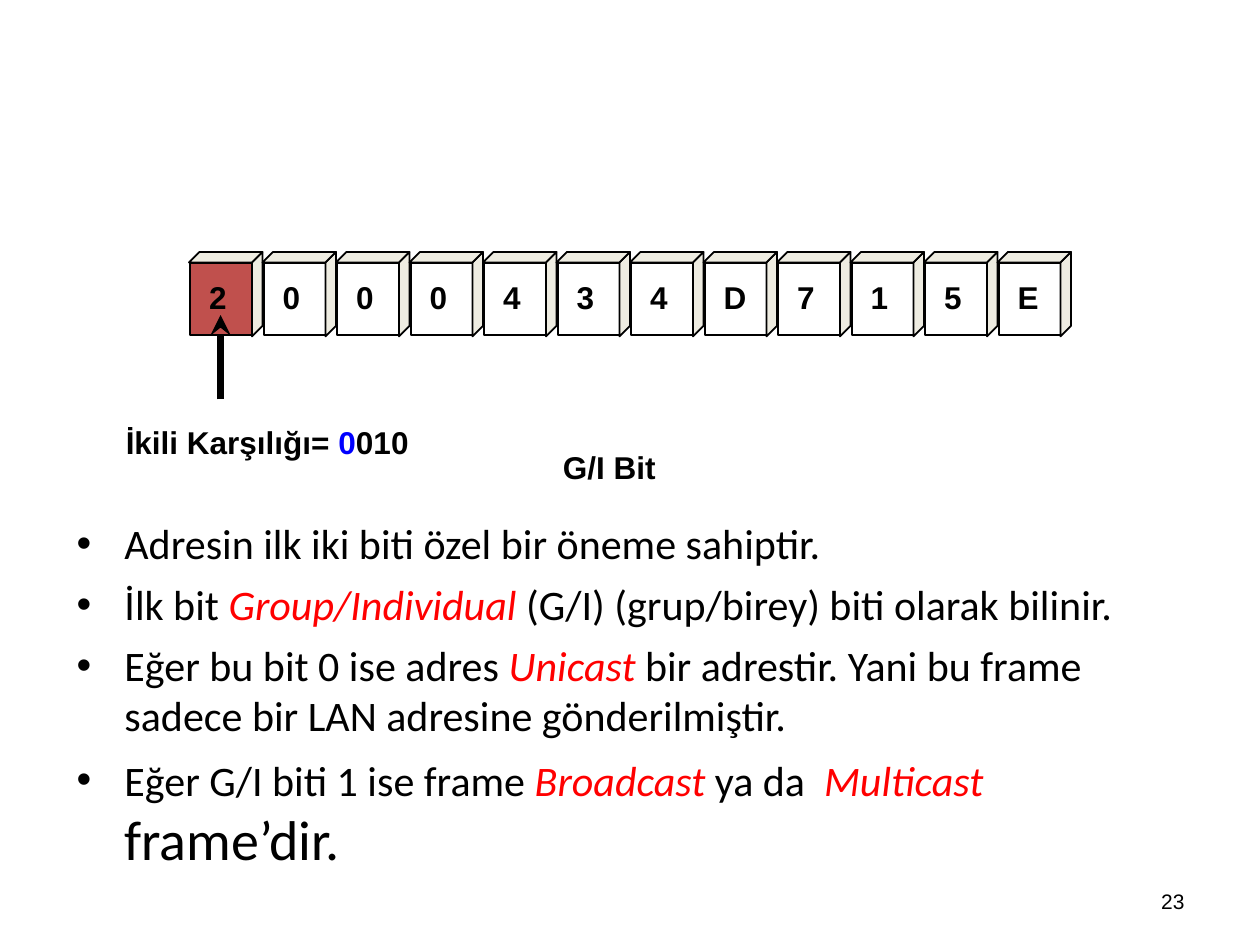
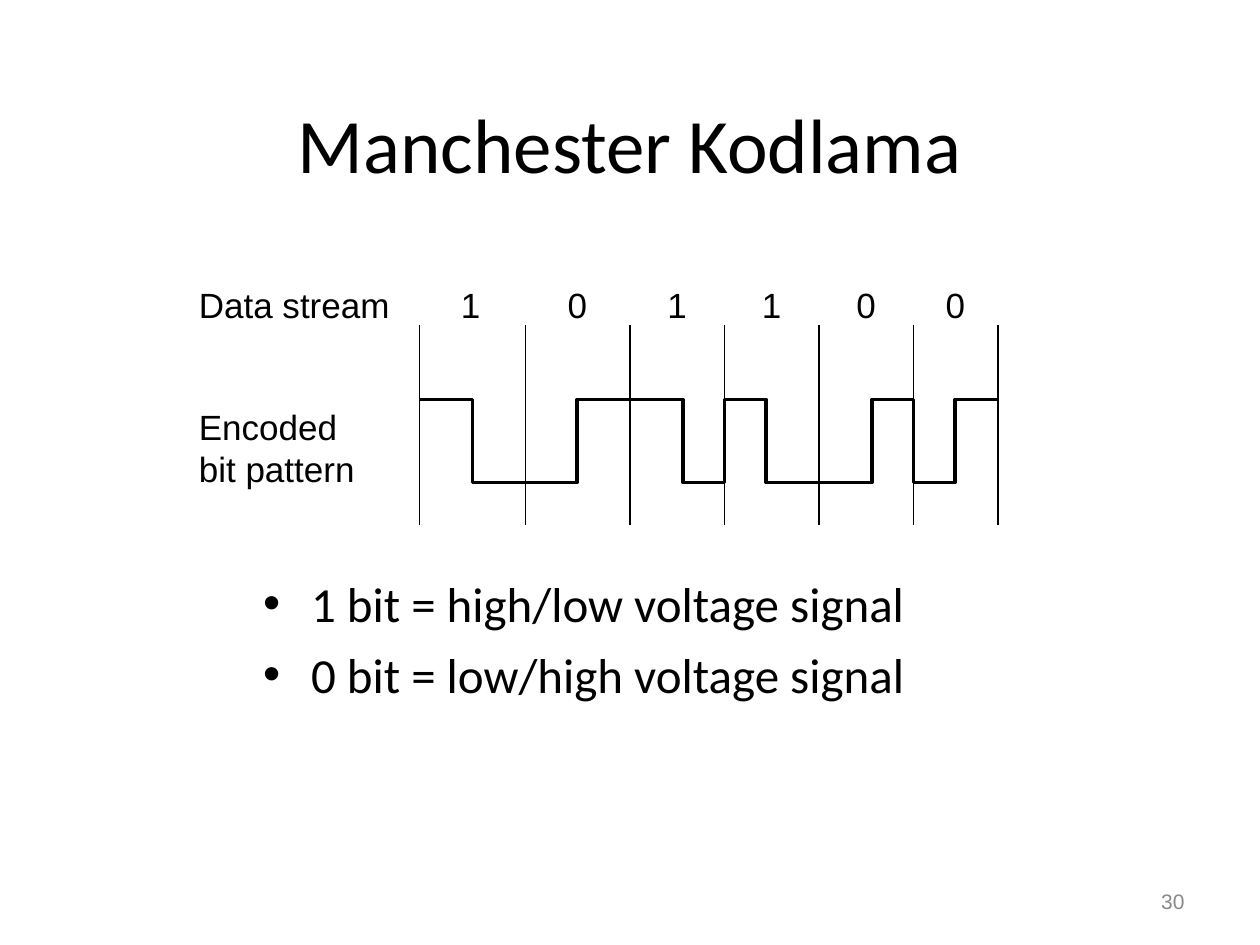
from lxml import etree
from pptx import Presentation
from pptx.dml.color import RGBColor
from pptx.enum.shapes import MSO_CONNECTOR, MSO_SHAPE
from pptx.enum.text import MSO_ANCHOR, PP_ALIGN
from pptx.oxml.ns import qn
from pptx.util import Inches, Pt

BLACK = RGBColor(0x00, 0x00, 0x00)
WHITE = RGBColor(0xFF, 0xFF, 0xFF)
RED = RGBColor(0xFF, 0x00, 0x00)
BLUE = RGBColor(0x00, 0x00, 0xFF)
BRICK = RGBColor(0xC0, 0x50, 0x4D)
CREAM = RGBColor(0xEE, 0xEC, 0xE1)
GRAY = RGBColor(0x89, 0x89, 0x89)
STRAIGHT = MSO_CONNECTOR.STRAIGHT
RECTANGLE = MSO_SHAPE.RECTANGLE
TOP, MIDDLE, BOTTOM = MSO_ANCHOR.TOP, MSO_ANCHOR.MIDDLE, MSO_ANCHOR.BOTTOM
LEFT, CENTER, RIGHT = PP_ALIGN.LEFT, PP_ALIGN.CENTER, PP_ALIGN.RIGHT

TITLE = {"name": "Calibri", "size": Pt(44), "bold": False}
BODY = {"name": "Calibri", "size": Pt(24)}
BIG_BODY = {"name": "Calibri", "size": Pt(28)}
LABEL = {"name": "Arial", "size": Pt(18), "bold": True}
DIAGRAM = {"name": "Arial", "size": Pt(20)}
PAGE_NUMBER = {"name": "Arial", "size": Pt(12)}
TERM = {"italic": True, "color": RED}


def write_text(frame, paragraphs, style, align=LEFT, anchor=TOP, gaps=(), bullet=False, tabs=()):
    frame.word_wrap = True
    frame.vertical_anchor = anchor
    for index, runs in enumerate(paragraphs):
        paragraph = frame.paragraphs[0] if index == 0 else frame.add_paragraph()
        paragraph.alignment = align
        properties = paragraph._p.get_or_add_pPr()
        if bullet:
            properties.set("marL", str(Inches(0.38)))
            properties.set("indent", str(-Inches(0.38)))
            bullet_color = etree.SubElement(properties, qn("a:buClr"))
            etree.SubElement(bullet_color, qn("a:srgbClr"), val=str(BLACK))
            etree.SubElement(properties, qn("a:buFont"), typeface="Arial")
            etree.SubElement(properties, qn("a:buChar"), char="•")
        if tabs:
            stops = etree.SubElement(properties, qn("a:tabLst"))
            for stop in tabs:
                etree.SubElement(stops, qn("a:tab"), pos=str(Inches(stop)), algn="ctr")
        if index and gaps:
            paragraph.space_before = Pt(gaps[index - 1])
        for text, changes in runs:
            run = paragraph.add_run()
            run.text = text
            values = {"color": BLACK, **style, **changes}
            run.font.color.rgb = values.pop("color")
            for attribute, value in values.items():
                setattr(run.font, attribute, value)


def draw_line(slide, start, end, width, arrow=None):
    line = slide.shapes.add_connector(STRAIGHT, *(Inches(v) for v in (*start, *end)))
    line.line.color.rgb = BLACK
    line.line.width = Pt(width)
    if arrow:
        etree.SubElement(line.line._get_or_add_ln(), qn("a:tailEnd"), type=arrow)
    etree.SubElement(line._element.spPr, qn("a:effectLst"))


deck = Presentation()
deck.slide_width, deck.slide_height = Inches(10), Inches(7.5)
address_slide = deck.slides.add_slide(deck.slide_layouts[6])
coding_slide = deck.slides.add_slide(deck.slide_layouts[5])

address_points = [
    [("Adresin ilk iki biti özel bir öneme sahiptir.", {})],
    [("İlk bit ", {}), ("Group/Individual ", TERM),
     ("(G/I) (grup/birey) biti olarak bilinir.", {})],
    [("Eğer bu bit 0 ise adres ", {}), ("Unicast ", TERM),
     ("bir adrestir. Yani bu frame sadece bir LAN adresine gönderilmiştir.", {})],
    [("Eğer G/I biti 1 ise frame ", {}), ("Broadcast ", TERM), ("ya da  ", {}),
     ("Multicast ", TERM), ("frame’dir.", {"size": Pt(32)})],
]
points_box = address_slide.shapes.add_textbox(Inches(0.51), Inches(4.06), Inches(9), Inches(3.23))
write_text(points_box.text_frame, address_points, BODY, gaps=(6, 6, 8), bullet=True)

row_left, row_top, row_bottom = 1.5, 2, 2.67
pitch, depth = 7 / 12, 1 / 12
address_cells = address_slide.shapes.add_group_shape().shapes
for position, digit in enumerate("20004344D715E".replace("44D", "4D")):
    left = row_left + position * pitch
    right = left + pitch
    front_right, front_top = right - depth, row_top + depth
    side = [(front_right, row_bottom), (front_right, front_top), (right, row_top),
            (right, row_bottom - depth)]
    lid = [(left, front_top), (left + depth, row_top), (right, row_top), (front_right, front_top)]

    front = address_cells.add_shape(
        RECTANGLE, Inches(left + 0.01), Inches(2.09), Inches(0.49), Inches(0.57))
    front.shadow.inherit = False
    front.fill.solid()
    front.fill.fore_color.rgb = WHITE if position else BRICK
    front.line.color.rgb = BLACK
    front.line.width = Pt(1)
    digit_frame = front.text_frame
    digit_frame.margin_left, digit_frame.margin_right = Inches(0.15), 0
    digit_frame.margin_top = Inches(0.12)
    write_text(digit_frame, [[(digit, {})]], LABEL)

    for outline in (side, lid):
        corners = [(Inches(x), Inches(y)) for x, y in outline]
        builder = address_cells.build_freeform(*corners[0])
        builder.add_line_segments(corners[1:], close=True)
        face = builder.convert_to_shape()
        face.shadow.inherit = False
        face.fill.solid()
        face.fill.fore_color.rgb = CREAM
        face.line.color.rgb = BLACK
        face.line.width = Pt(1)

draw_line(address_slide, (1.75, 3.17), (1.75, 2.5), 4, "stealth")

address_labels = [
    (0.9, 3.31, 2.6, [("İkili Karşılığı= ", {}), ("0", {"color": BLUE}), ("010", {})]),
    (4.37, 3.51, 1.1, [("G/I Bit", {})]),
]
for left, top, width, runs in address_labels:
    label = address_slide.shapes.add_textbox(Inches(left), Inches(top), Inches(width), Inches(0.4))
    write_text(label.text_frame, [runs], LABEL)

title = coding_slide.shapes.title
title.left, title.top, title.width, title.height = (Inches(v) for v in (0.5, 0.3, 9, 1.25))
write_text(title.text_frame, [[("Manchester Kodlama", {})]], TITLE, CENTER, BOTTOM)

rules_box = coding_slide.shapes.add_textbox(Inches(1.99), Inches(4.5), Inches(7.51), Inches(2.2))
coding_rules = ["1 bit = high/low voltage signal", "0 bit = low/high voltage signal"]
write_text(rules_box.text_frame, [[(rule, {})] for rule in coding_rules], BIG_BODY,
           gaps=(7,), bullet=True)

bits = "101100"
bit_edges = [3.33, 4.17, 5, 5.75, 6.5, 7.25, 7.92]
bit_middles = [3.75, 4.58, 5.42, 6.08, 6.92, 7.58]
high, low = 3.17, 3.83
signal = []
for bit, start, middle, end in zip(bits, bit_edges, bit_middles, bit_edges[1:]):
    first, second = (high, low) if bit == "1" else (low, high)
    signal += [(start, first), (middle, first), (middle, second), (end, second)]
signal = [(Inches(x), Inches(y)) for x, y in signal]
builder = coding_slide.shapes.build_freeform(*signal[0])
builder.add_line_segments(signal[1:], close=False)
waveform = builder.convert_to_shape()
waveform.shadow.inherit = False
waveform.fill.background()
waveform.line.color.rgb = BLACK
waveform.line.width = Pt(2)

for edge in bit_edges:
    draw_line(coding_slide, (edge, 2.58), (edge, 4.17), 1)

bits_left = 3.56
bits_box = coding_slide.shapes.add_textbox(
    Inches(bits_left), Inches(2.2), Inches(4.4), Inches(0.43))
bit_centers = [(start + end) / 2 for start, end in zip(bit_edges, bit_edges[1:])]
write_text(bits_box.text_frame, [[("\t".join(bits), {})]], DIAGRAM,
           tabs=[center - bits_left - 0.1 for center in bit_centers[1:]])

row_labels = coding_slide.shapes.add_textbox(Inches(1.48), Inches(2.2), Inches(1.8), Inches(1.77))
write_text(row_labels.text_frame,
           [[(name, {})] for name in ("Data stream", "Encoded", "bit pattern")],
           DIAGRAM, gaps=(46, 0))

for slide, number, color in ((address_slide, "23", BLACK), (coding_slide, "30", GRAY)):
    footer = slide.shapes.add_textbox(Inches(7.17), Inches(6.95), Inches(2.33), Inches(0.4))
    write_text(footer.text_frame, [[(number, {"color": color})]], PAGE_NUMBER, RIGHT, MIDDLE)

deck.save("out.pptx")
